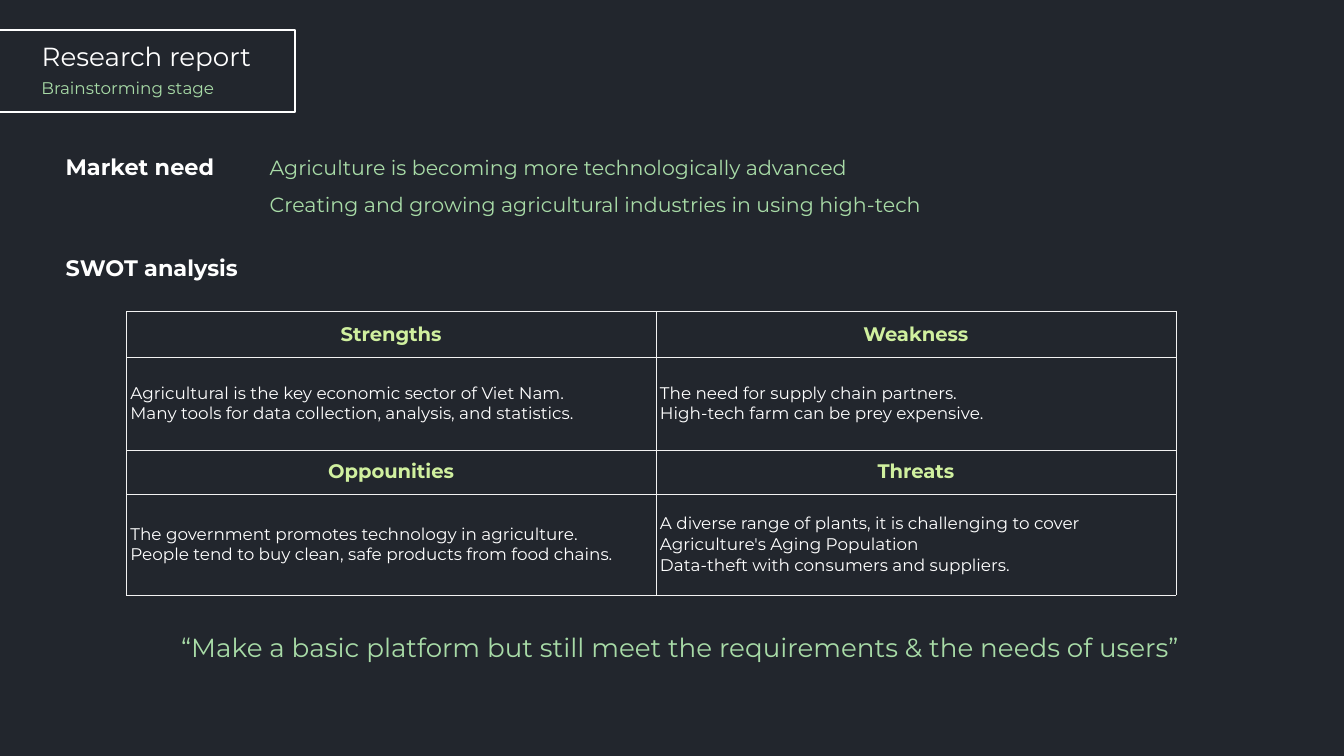
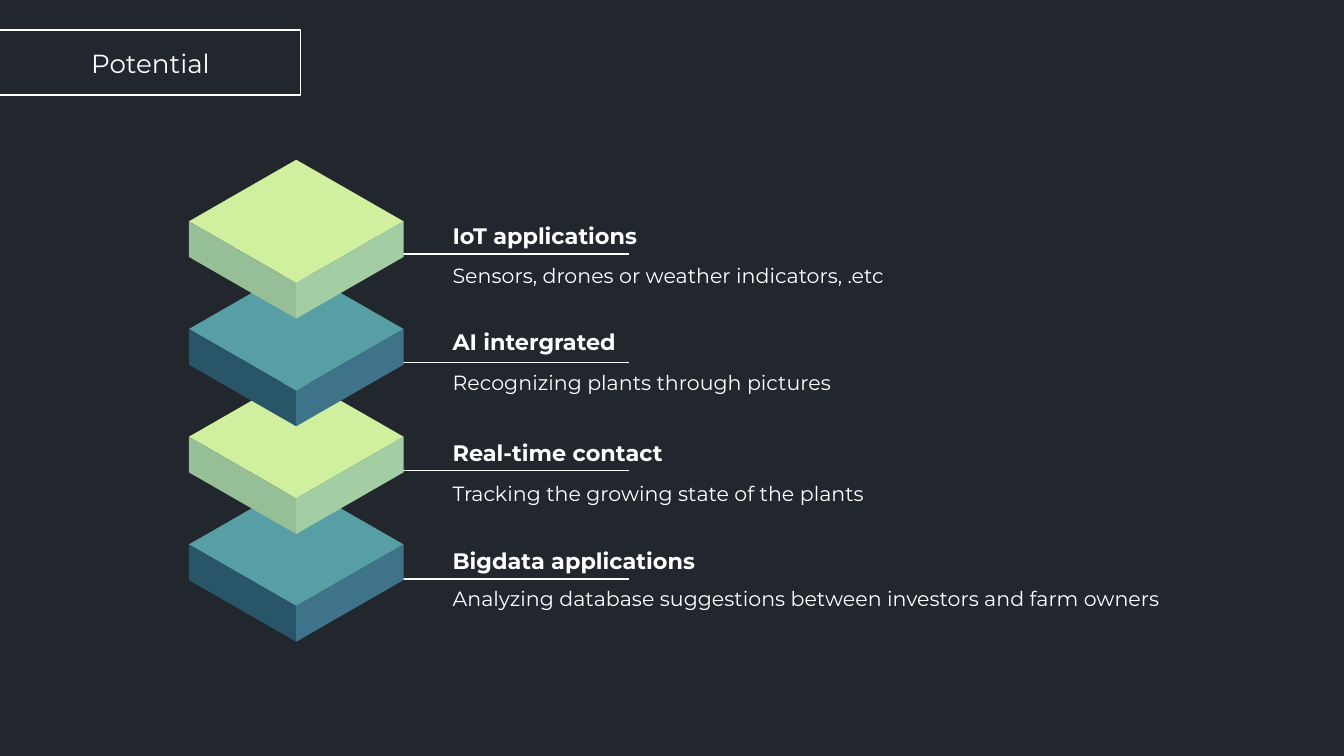
"""Build a two-slide report: market research with a SWOT table, and a stack of potential uses."""
import lxml.etree
import pptx
import pptx.dml.color
import pptx.enum.shapes
import pptx.enum.text
import pptx.oxml.ns
import pptx.util

Pt = pptx.util.Pt
ALIGN = pptx.enum.text.PP_ALIGN
MIDDLE = pptx.enum.text.MSO_ANCHOR.MIDDLE
qn = pptx.oxml.ns.qn

FONT = "Montserrat"
NIGHT, WHITE, GRID = "22262D", "FFFFFF", "F2F2F2"
MINT, LIME = "A8DBA7", "D0F09F"
LIME_SLAB = (LIME, "96BE97", "A3CEA3")
TEAL_SLAB = ("589EA5", "295568", "3E738A")

MARKET_NEEDS = [
    "Agriculture is becoming more technologically advanced",
    "Creating and growing agricultural industries in using high-tech",
]
SECTIONS = [("Market need", 78.5), ("SWOT analysis", 132.5)]
SWOT = [
    ("Strengths", [
        "Agricultural is the key economic sector of Viet Nam.",
        "Many tools for data collection, analysis, and statistics."]),
    ("Weakness", [
        "The need for supply chain partners.",
        "High-tech farm can be prey expensive."]),
    ("Oppounities", [
        "The government promotes technology in agriculture.",
        "People tend to buy clean, safe products from food chains."]),
    ("Threats", [
        "A diverse range of plants, it is challenging to cover",
        "Agriculture's Aging Population",
        "Data-theft with consumers and suppliers."]),
]
SWOT_COLUMNS = (283.7, 278.6)
SWOT_ROWS = (24.6, 49.6, 23.7, 54.1)
QUOTE = "“Make a basic platform but still meet the requirements & the needs of users”"

POTENTIAL = [
    ("IoT applications", 115.2, "Sensors, drones or weather indicators, .etc", 137.2, LIME_SLAB),
    ("AI intergrated", 172.1, "Recognizing plants through pictures", 194.4, TEAL_SLAB),
    ("Real-time contact", 231.8, "Tracking the growing state of the plants", 254.2, LIME_SLAB),
    ("Bigdata applications", 289.4, "Analyzing database suggestions between investors and farm owners",
     310.3, TEAL_SLAB),
]
SLAB_LEFT, SLAB_TOP, SLAB_STEP = 101.2, 85.6, 57.7
HALF_WIDTH, HALF_HEIGHT, THICKNESS = 57.5, 33, 19.1
RULE_TOP, RULE_STEP = 136.2, 58


def color(value):
    return pptx.dml.color.RGBColor.from_string(value)


def place(item, left, top, width, height):
    item.left, item.top, item.width, item.height = map(Pt, (left, top, width, height))


def write(frame, lines, size, tone, bold=False, align=ALIGN.LEFT, gap=0):
    for index, line in enumerate(lines):
        para = frame.add_paragraph() if index else frame.paragraphs[0]
        para.alignment = align
        para.space_before = Pt(gap if index else 0)
        span = para.add_run()
        span.text = line
        span.font.name, span.font.size, span.font.bold = FONT, Pt(size), bold
        span.font.color.rgb = color(tone)


def prepare(frame, inset=3.6, anchor=pptx.enum.text.MSO_ANCHOR.TOP):
    frame.word_wrap = True
    frame.auto_size = pptx.enum.text.MSO_AUTO_SIZE.NONE
    frame.vertical_anchor = anchor
    frame.margin_left = frame.margin_right = Pt(7.2)
    frame.margin_top = frame.margin_bottom = Pt(inset)


def add_text(page, area, line, size, tone, bold=False):
    box = page.shapes.add_textbox(*map(Pt, area))
    prepare(box.text_frame)
    write(box.text_frame, [line], size, tone, bold)
    return box


def add_page(deck, layout, title, title_area, frame_size, align):
    page = deck.slides.add_slide(deck.slide_layouts.get_by_name(layout))
    border = page.shapes.add_shape(
        pptx.enum.shapes.MSO_SHAPE.RECTANGLE, Pt(-5), Pt(15.9), *map(Pt, frame_size))
    border.shadow.inherit = False
    border.fill.background()
    border.line.color.rgb = color(WHITE)
    border.line.width = Pt(1)
    heading = page.shapes.title
    place(heading, *title_area)
    prepare(heading.text_frame, 7.2, MIDDLE)
    write(heading.text_frame, [title], 14, WHITE, align=align)
    return page


def add_list(page, area, lines):
    body = page.placeholders[1]
    place(body, *area)
    prepare(body.text_frame)
    write(body.text_frame, lines, 11, MINT, gap=6.8)
    for para in body.text_frame.paragraphs:
        settings = para._p.get_or_add_pPr()
        settings.set("marL", "0")
        settings.set("indent", "0")
        lxml.etree.SubElement(settings, qn("a:buNone"))


def outline_cell(cell):
    settings = cell._tc.get_or_add_tcPr()
    for index, side in enumerate(("a:lnL", "a:lnR", "a:lnT", "a:lnB")):
        edge = lxml.etree.Element(qn(side), w=str(Pt(0.25)))
        fill = lxml.etree.SubElement(edge, qn("a:solidFill"))
        lxml.etree.SubElement(fill, qn("a:srgbClr"), val=GRID)
        settings.insert(index, edge)


def fill_cell(cell, lines, *style):
    cell.fill.background()
    cell.vertical_anchor = MIDDLE
    cell.margin_left = cell.margin_right = Pt(2.2)
    cell.margin_top = cell.margin_bottom = Pt(1.4)
    write(cell.text_frame, lines, *style)
    outline_cell(cell)


def add_swot(page):
    table = page.shapes.add_table(
        len(SWOT_ROWS), len(SWOT_COLUMNS), Pt(67.7), Pt(166.8),
        Pt(sum(SWOT_COLUMNS)), Pt(sum(SWOT_ROWS))).table
    table.first_row = table.horz_banding = False
    for column, width in zip(table.columns, SWOT_COLUMNS):
        column.width = Pt(width)
    for row, height in zip(table.rows, SWOT_ROWS):
        row.height = Pt(height)
    for index, (name, points) in enumerate(SWOT):
        row, column = index // 2 * 2, index % 2
        fill_cell(table.cell(row, column), [name], 10.5, LIME, True, ALIGN.CENTER)
        fill_cell(table.cell(row + 1, column), points, 9, WHITE)


def add_face(page, points, tone):
    corners = [(Pt(x), Pt(y)) for x, y in points]
    builder = page.shapes.build_freeform(*corners[0])
    builder.add_line_segments(corners[1:], close=True)
    face = builder.convert_to_shape()
    face.shadow.inherit = False
    face.fill.solid()
    face.fill.fore_color.rgb = color(tone)
    face.line.fill.background()


def add_slab(page, top, tones):
    center, right = SLAB_LEFT + HALF_WIDTH, SLAB_LEFT + 2 * HALF_WIDTH
    side, front = top + HALF_HEIGHT, top + 2 * HALF_HEIGHT
    add_face(page, [(center, top), (SLAB_LEFT, side), (center, front), (right, side)], tones[0])
    for edge, tone in zip((SLAB_LEFT, right), tones[1:]):
        add_face(page, [(edge, side), (edge, side + THICKNESS),
                        (center, front + THICKNESS), (center, front)], tone)


def add_rule(page, top):
    rule = page.shapes.add_connector(
        pptx.enum.shapes.MSO_CONNECTOR.STRAIGHT, Pt(337), Pt(top), Pt(210.2), Pt(top))
    rule.line.color.rgb = color(WHITE)
    rule.line.width = Pt(0.75)
    lxml.etree.SubElement(rule._element.spPr, qn("a:effectLst"))


def build_research(deck):
    page = add_page(deck, "Title and Content", "Research report",
                    (15.1, 21.6, 142.6, 17.3), (163, 43.9), ALIGN.LEFT)
    stage = add_text(page, (15.1, 38.9, 142.6, 15.8), "Brainstorming stage", 9, MINT)
    prepare(stage.text_frame, 7.2, MIDDLE)
    for name, top in SECTIONS:
        add_text(page, (28.1, top, 129.6, 21.8), name, 12, WHITE, True)
    add_list(page, (137.2, 79.2, 370, 41), MARKET_NEEDS)
    add_swot(page)
    add_text(page, (90, 334.8, 562.3, 24.2), QUOTE, 14, MINT)


def build_potential(deck):
    page = add_page(deck, "Title Only", "Potential",
                    (0, 23.8, 161.3, 20.2), (166, 35.1), ALIGN.CENTER)
    for index in range(len(POTENTIAL)):
        add_rule(page, RULE_TOP + index * RULE_STEP)
    for index in reversed(range(len(POTENTIAL))):
        add_slab(page, SLAB_TOP + index * SLAB_STEP, POTENTIAL[index][-1])
    for name, name_top, detail, detail_top, _ in POTENTIAL:
        add_text(page, (235.4, name_top, 192, 21.8), name, 12, WHITE, True)
        add_text(page, (235.4, detail_top, 403, 20.9), detail, 11, WHITE)


def main():
    deck = pptx.Presentation()
    deck.slide_width, deck.slide_height = Pt(720), Pt(405)
    backdrop = deck.slide_master.background.fill
    backdrop.solid()
    backdrop.fore_color.rgb = color(NIGHT)
    build_research(deck)
    build_potential(deck)
    deck.save("out.pptx")


if __name__ == "__main__":
    main()
